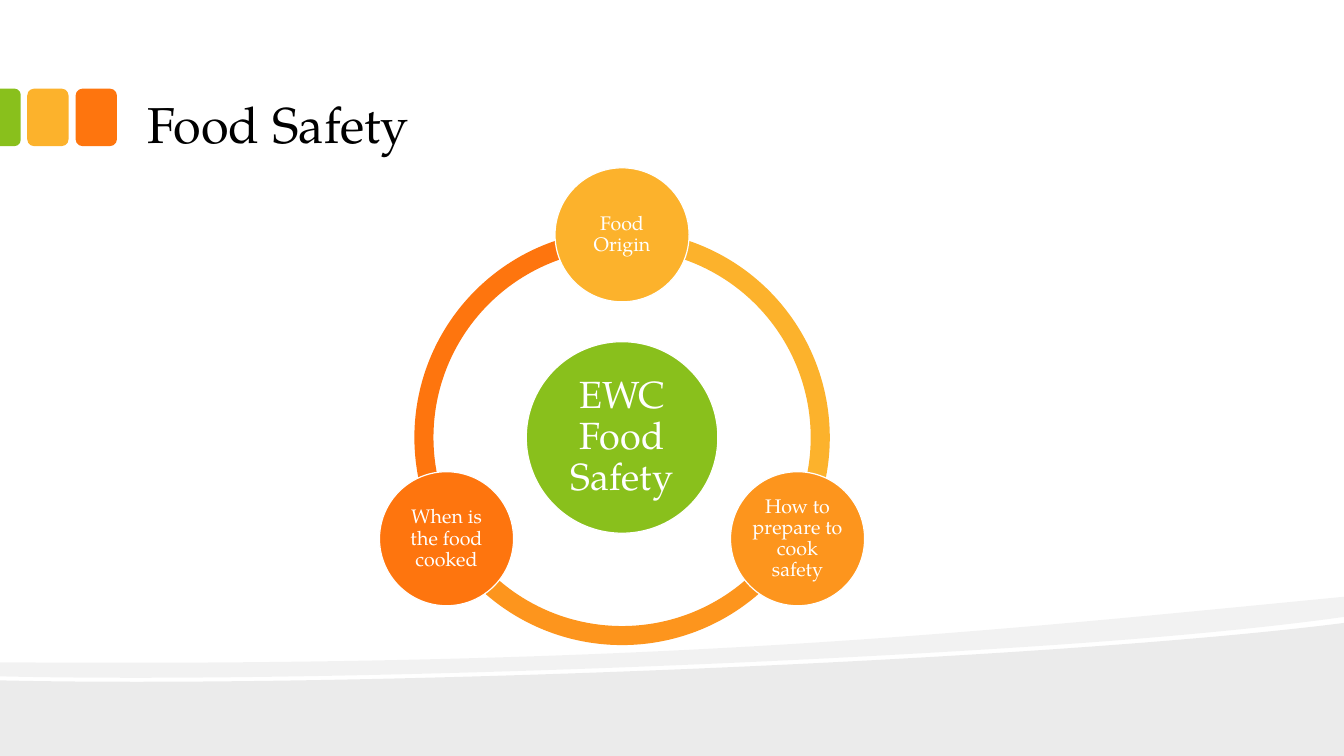
"""Builds the Food Safety slide with its radial cycle diagram."""
import math
from lxml import etree
from pptx import Presentation, util as u
from pptx.dml.color import RGBColor
from pptx.enum import shapes, text
from pptx.oxml.ns import qn

W, H = 13.33, 7.5
FONT = "TeX Gyre Pagella"
GREEN, AMBER, ORANGE, RED = "89C01C", "FCB22C", "FD951D", "FE750E"
WHITE, BLACK = "FFFFFF", "000000"

TITLE = "Food Safety"
HUB = "EWC Food Safety"
NODES = [("Food Origin", AMBER), ("How to prepare to cook safety", ORANGE),
         ("When is the food cooked", RED)]
CENTRE, ORBIT = (6.17, 4.34), 2.01
HUB_SIZE, NODE_SIZE, RING_SIZE, RING_THICKNESS = 1.9, 1.33, 4.12, 0.046

TAB_TOP, TAB_W, TAB_H, TAB_STEP = 0.88, 0.41, 0.57, 0.48
TABS = [AMBER, RED]

# Opacity, start point, then pieces: one point is a line, three a cubic curve.
WAVES = [
    (8, (W, 6.18), [[(W, H)], [(0, H)], [(0, 6.75)],
                    [(3.52, 6.83), (10.42, 6.55), (W, 6.18)]]),
    (5, (W, 5.92), [[(W, 6.12)],
                    [(12.55, 6.23), (11.49, 6.33), (10.29, 6.41)],
                    [(6.98, 6.63), (2.58, 6.77), (0, 6.71)],
                    [(0, 6.57)],
                    [(6.52, 6.62), (9.71, 6.27), (W, 5.92)]]),
]


def rgb(value):
    return RGBColor.from_string(value)


def paint(sp, fill, line=None):
    sp.shadow.inherit = False
    sp.fill.solid()
    sp.fill.fore_color.rgb = rgb(fill)
    if line:
        sp.line.color.rgb = rgb(line)
        sp.line.width = u.Pt(0.85)
    else:
        sp.line.fill.background()


def add_shape(s, kind, centre, w, h, fill, line=None):
    x, y = centre
    sp = s.shapes.add_shape(kind, *map(u.Inches, (x - w / 2, y - h / 2, w, h)))
    paint(sp, fill, line)
    return sp


def write(sp, words, size, color, insets, anchor, align):
    tf = sp.text_frame
    tf.word_wrap = True
    tf.vertical_anchor = anchor
    tf.margin_left = tf.margin_right = u.Inches(insets[0])
    tf.margin_top = tf.margin_bottom = u.Inches(insets[1])
    p = tf.paragraphs[0]
    p.alignment = align
    r = p.add_run()
    r.text = words
    r.font.size, r.font.name = u.Pt(size), FONT
    r.font.color.rgb = rgb(color)
    return p


def add_disc(s, words, centre, size, fill, points, inset):
    sp = add_shape(s, shapes.MSO_SHAPE.OVAL, centre, size, size, fill, WHITE)
    p = write(sp, words, points, WHITE, (inset, inset),
              text.MSO_ANCHOR.MIDDLE, text.PP_ALIGN.CENTER)
    p.line_spacing = 0.9


def add_wave(s, opacity, start, pieces):
    def emu(pt):
        return tuple(int(u.Inches(v)) for v in pt)

    builder = s.shapes.build_freeform(*emu(start), scale=1.0)
    builder.add_line_segments([emu(pt) for piece in pieces for pt in piece], close=True)
    sp = builder.convert_to_shape()
    paint(sp, BLACK)
    color = sp.fill._xPr.find(qn("a:solidFill"))[0]
    etree.SubElement(color, qn("a:alpha")).set("val", str(opacity * 1000))
    lines = iter(list(sp._element.iter(qn("a:lnTo"))))
    for piece in pieces:
        group = [next(lines) for _ in piece]
        if len(group) == 3:
            curve = etree.Element(qn("a:cubicBezTo"))
            group[0].addprevious(curve)
            for line in group:
                curve.append(line[0])
                line.getparent().remove(line)


def add_tabs(s):
    kinds = shapes.MSO_SHAPE
    mid = TAB_TOP + TAB_H / 2
    for i, fill in enumerate(TABS):
        centre = (0.27 + TAB_W / 2 + i * TAB_STEP, mid)
        add_shape(s, kinds.ROUNDED_RECTANGLE, centre, TAB_W, TAB_H, fill)
    sp = add_shape(s, kinds.ROUND_2_SAME_RECTANGLE, (TAB_W / 4, mid),
                   TAB_H, TAB_W / 2, GREEN)
    sp.rotation = 90
    sp.adjustments[0] = 0.292


def add_cycle(s):
    step = 360 / len(NODES)
    angles = [(270 + i * step) % 360 for i in range(len(NODES))]
    for angle, (_, fill) in reversed(list(zip(angles, NODES))):
        sp = add_shape(s, shapes.MSO_SHAPE.BLOCK_ARC, CENTRE, RING_SIZE, RING_SIZE, fill)
        ends = (angle, (angle + step) % 360)
        for i, value in enumerate([a * 0.6 for a in ends] + [RING_THICKNESS]):
            sp.adjustments[i] = value
    add_disc(s, HUB, CENTRE, HUB_SIZE, GREEN, 27, 0.04)
    for angle, (words, fill) in zip(angles, NODES):
        a = math.radians(angle)
        centre = (CENTRE[0] + ORBIT * math.cos(a), CENTRE[1] + ORBIT * math.sin(a))
        add_disc(s, words, centre, NODE_SIZE, fill, 14, 0.02)


def main():
    prs = Presentation()
    prs.slide_width, prs.slide_height = u.Inches(W), u.Inches(H)
    s = prs.slides.add_slide(prs.slide_layouts[6])
    for wave in WAVES:
        add_wave(s, *wave)
    add_tabs(s)
    title = s.shapes.add_textbox(*map(u.Inches, (1.33, 0.17, 10.66, 1.42)))
    write(title, TITLE, 36, BLACK, (0.13, 0.07),
          text.MSO_ANCHOR.BOTTOM, text.PP_ALIGN.LEFT)
    add_cycle(s)
    prs.save("out.pptx")


if __name__ == "__main__":
    main()
